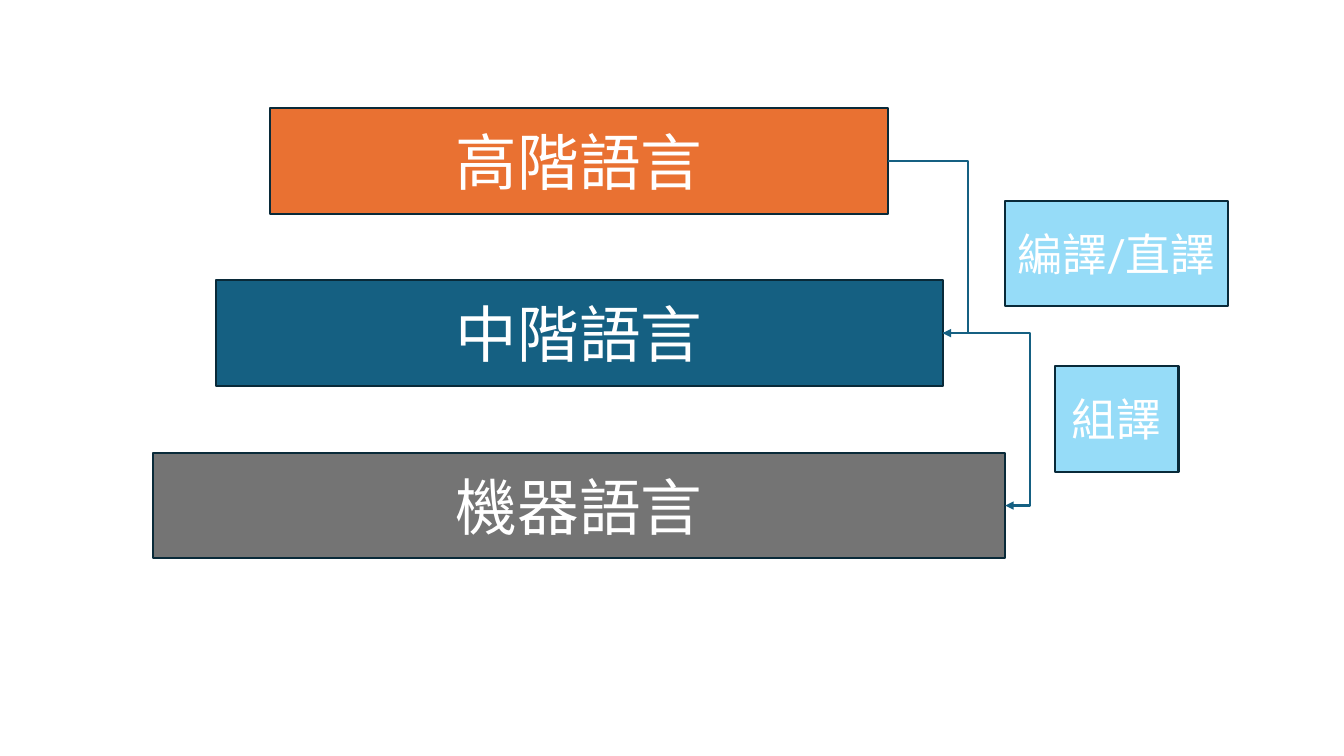
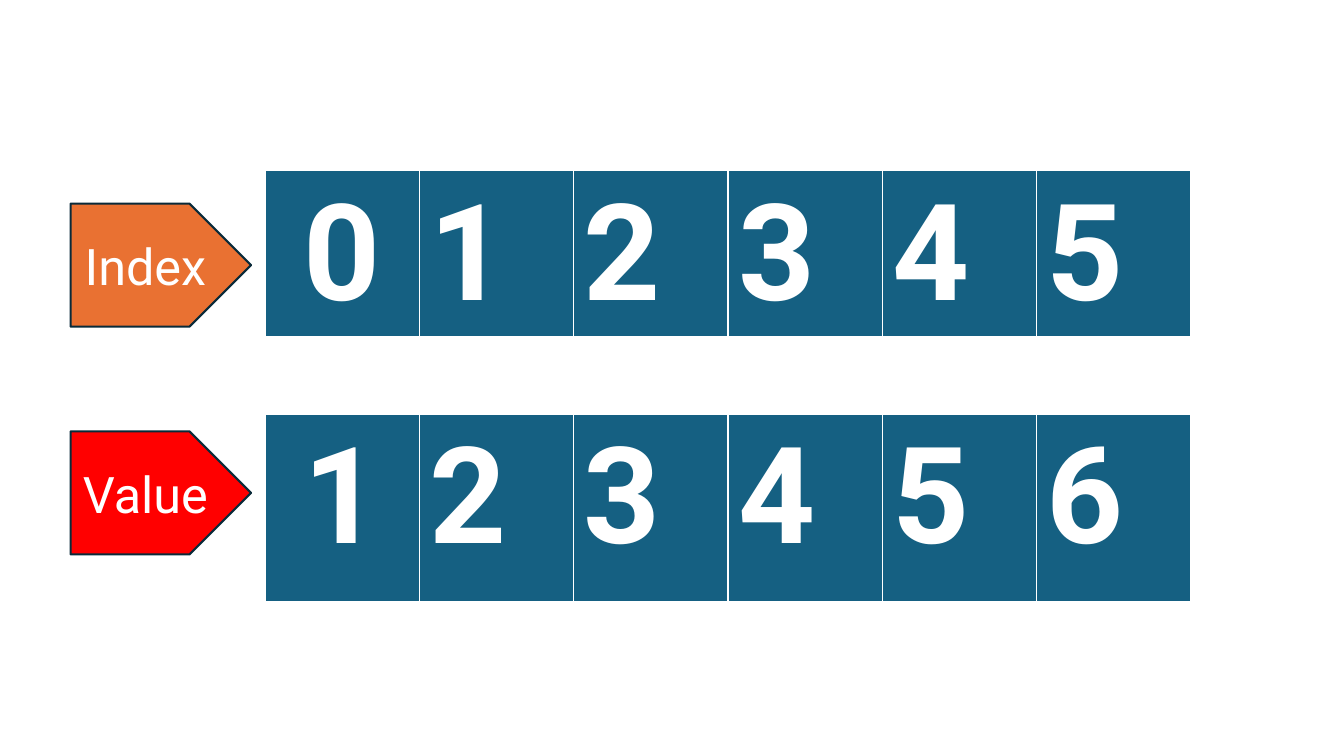
from dataclasses import dataclass

from lxml import etree
from pptx import Presentation
from pptx.dml.color import RGBColor
from pptx.enum.shapes import MSO_CONNECTOR, MSO_SHAPE
from pptx.enum.text import MSO_ANCHOR, PP_ALIGN
from pptx.oxml.ns import qn
from pptx.util import Pt

RECT = MSO_SHAPE.RECTANGLE
TAG = MSO_SHAPE.PENTAGON
ELBOW = MSO_CONNECTOR.ELBOW
CENTER = PP_ALIGN.CENTER
LEFT = PP_ALIGN.LEFT
MIDDLE = MSO_ANCHOR.MIDDLE
RIGHT_SIDE = 3
EMU_PER_PX = 9144


@dataclass(frozen=True)
class Theme:
    """Colours, type sizes in points and line widths of the deck."""

    font: str = "Roboto"
    white: str = "FFFFFF"
    orange: str = "E97132"
    blue: str = "156082"
    gray: str = "747474"
    sky: str = "96DCF8"
    red: str = "FF0000"
    outline: str = "092A39"
    level_size: int = 44
    step_size: int = 32
    tag_size: int = 36
    digit_size: int = 96
    line: float = 1.5
    cell_line: int = 1
    cell_base: int = 3


THEME = Theme()


def px(n):
    """Turn px into EMU."""
    return n * EMU_PER_PX


def rgb(color):
    """Turn a hex string into a colour."""
    return RGBColor.from_string(color)


def write(tf, text, size, align=CENTER, bold=False):
    """Fill a text frame with one white paragraph."""
    tf.text = text
    p = tf.paragraphs[0]
    p.alignment = align
    r = p.runs[0]
    r.font.name = THEME.font
    r.font.size = Pt(size)
    r.font.bold = bold
    r.font.color.rgb = rgb(THEME.white)
    etree.SubElement(r.font._element, qn("a:ea"), typeface=THEME.font)


def add_box(s, kind, box, text, fill, size):
    """Add an outlined preset shape with centred text."""
    sp = s.shapes.add_shape(kind, *map(px, box))
    sp.shadow.inherit = False
    sp.fill.solid()
    sp.fill.fore_color.rgb = rgb(fill)
    sp.line.color.rgb = rgb(THEME.outline)
    sp.line.width = Pt(THEME.line)
    tf = sp.text_frame
    tf.word_wrap = True
    tf.vertical_anchor = MIDDLE
    write(tf, text, size)
    return sp


def add_elbow(s, source, target, reach):
    """Join two right sides by an arrow that bends reach px past the target."""
    cx = s.shapes.add_connector(ELBOW, 0, 0, 0, 0)
    cx.begin_connect(source, RIGHT_SIDE)
    cx.end_connect(target, RIGHT_SIDE)
    cx.line.color.rgb = rgb(THEME.blue)
    cx.line.width = Pt(THEME.line)
    sppr = cx._element.spPr
    bend = round((cx.width + px(reach)) / cx.width * 100000)
    guides = sppr.find(qn("a:prstGeom")).get_or_add_avLst()
    etree.SubElement(guides, qn("a:gd"), name="adj1", fmla=f"val {bend}")
    etree.SubElement(sppr.find(qn("a:ln")), qn("a:tailEnd"), type="triangle")
    etree.SubElement(sppr, qn("a:effectLst"))


def set_borders(cell):
    """Give a cell white borders with a thicker bottom."""
    tcpr = cell._tc.get_or_add_tcPr()
    widths = [("L", THEME.cell_line), ("R", THEME.cell_line),
              ("T", THEME.cell_line), ("B", THEME.cell_base)]
    for i, (side, width) in enumerate(widths):
        ln = etree.Element(qn(f"a:ln{side}"), w=str(Pt(width)))
        fill = etree.SubElement(ln, qn("a:solidFill"))
        etree.SubElement(fill, qn("a:srgbClr"), val=THEME.white)
        tcpr.insert(i, ln)


def add_array(s, top, height, values):
    """Add a one-row table of large digits."""
    col_width = 153
    frame = s.shapes.add_table(1, len(values), px(263), px(top),
                               px(col_width * len(values)), px(height))
    table = frame.table
    table.first_row = False
    table.horz_banding = False
    for i, value in enumerate(values):
        cell = table.cell(0, i)
        cell.fill.solid()
        cell.fill.fore_color.rgb = rgb(THEME.blue)
        set_borders(cell)
        write(cell.text_frame, str(value), THEME.digit_size,
              LEFT if i else CENTER, bold=True)


def add_language_levels(s):
    """Draw the language levels and the translation steps between them."""
    height, top, pitch, span = 105, 107, 171, 1149
    levels = [("高階語言", 268, THEME.orange),
              ("中階語言", 214, THEME.blue),
              ("機器語言", 152, THEME.gray)]
    boxes = [add_box(s, RECT, (left, top + i * pitch, span - 2 * left, height),
                     text, fill, THEME.level_size)
             for i, (text, left, fill) in enumerate(levels)]
    for source, target in zip(boxes, boxes[1:]):
        add_elbow(s, source, target, 25)
    steps = [("編譯/直譯", 997, 199, 221), ("組譯", 1046, 363, 123)]
    for text, left, step_top, width in steps:
        add_box(s, RECT, (left, step_top, width, height),
                text, THEME.sky, THEME.step_size)


def add_array_rows(s):
    """Draw the index and value rows of an array with their tags."""
    rows = [("Index", THEME.orange, 202, 169, 148, range(6)),
            ("Value", THEME.red, 428, 411, 187, range(1, 7))]
    for text, fill, tag_top, top, height, values in rows:
        add_array(s, top, height, values)
        add_box(s, TAG, (70, tag_top, 179, 122), text, fill, THEME.tag_size)


def main():
    """Build and save the deck."""
    prs = Presentation()
    prs.slide_width, prs.slide_height = px(1333), px(750)
    blank = prs.slide_layouts[6]
    for draw in (add_language_levels, add_array_rows):
        draw(prs.slides.add_slide(blank))
    prs.save("out.pptx")


if __name__ == "__main__":
    main()
